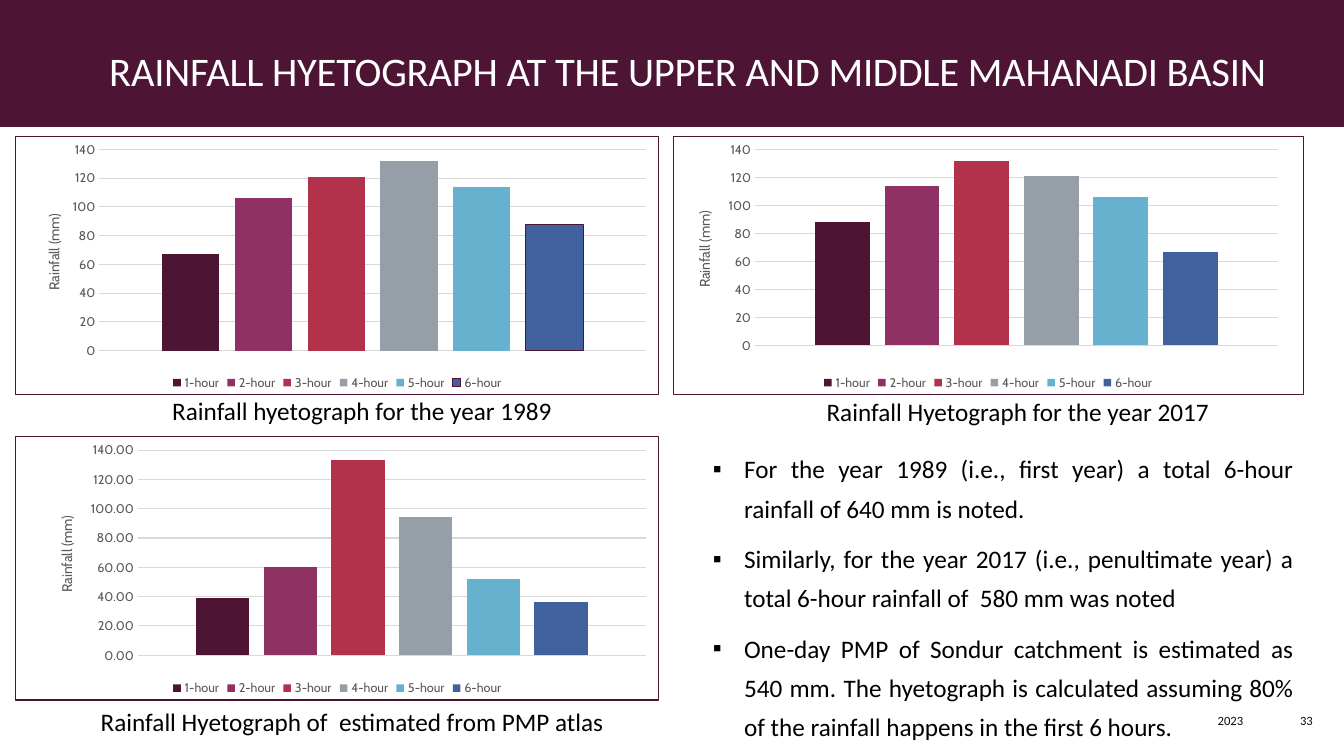
"""Build a slide of three rainfall hyetographs with captions and findings."""
import pptx
import pptx.chart.data
import pptx.dml.color
import pptx.enum.chart
import pptx.enum.shapes
import pptx.enum.text
import pptx.oxml
import pptx.oxml.ns
import pptx.util

Inches, Pt, qn = pptx.util.Inches, pptx.util.Pt, pptx.oxml.ns.qn
ALIGN = pptx.enum.text.PP_ALIGN

COLOURS = {"plum": "4D1434", "white": "FFFFFF", "black": "000000",
           "footer": "0D0D0D", "label": "595959", "grid": "D9D9D9"}
HOURS = [("1-hour", "4D1434"), ("2-hour", "903163"), ("3-hour", "B2324B"),
         ("4-hour", "969FA7"), ("5-hour", "66B1CE"), ("6-hour", "40619D")]
TITLE = "RAINFALL HYETOGRAPH AT THE UPPER AND MIDDLE MAHANADI BASIN"
CHARTS = [
    {"at": (0.15, 1.35, 6.39, 2.57), "values": (67, 106, 121, 132, 114, 88),
     "format": "General", "plot": (0.13, 0.05, 0.85, 0.78),
     "axis_title": (0.04, 0.29), "outlined": "6-hour"},
    {"at": (6.67, 1.35, 6.26, 2.57), "values": (88, 114, 132, 121, 106, 67),
     "format": "General", "plot": (0.13, 0.05, 0.83, 0.76),
     "axis_title": (0.03, 0.28), "outlined": None},
    {"at": (0.15, 4.33, 6.39, 2.62), "values": (39, 60, 133, 94, 52, 36),
     "format": "0.00", "plot": (0.19, 0.05, 0.79, 0.78),
     "axis_title": (0.06, 0.29), "outlined": None},
]
LABELS = [
    ("Rainfall hyetograph for the year 1989", (1.61, 3.87, 6.67, 0.4), 18, "black", ALIGN.LEFT),
    ("Rainfall Hyetograph for the year 2017", (8.1, 3.88, 5.2, 0.4), 18, "black", ALIGN.LEFT),
    ("Rainfall Hyetograph of  estimated from PMP atlas", (0.9, 6.96, 6.84, 0.4), 18, "black", ALIGN.LEFT),
    ("2023", (7.67, 6.95, 4.76, 0.4), 9, "footer", ALIGN.RIGHT),
    ("33", (12.43, 6.95, 0.69, 0.4), 9, "footer", ALIGN.RIGHT),
]
FINDINGS = [
    "For the year 1989 (i.e., first year) a total 6-hour rainfall of 640 mm is noted.",
    "Similarly, for the year 2017 (i.e., penultimate year) a total 6-hour rainfall of  580 mm was noted",
    "One-day PMP of Sondur catchment is estimated as 540 mm. The hyetograph is calculated "
    "assuming 80% of the rainfall happens in the first 6 hours.",
]


def rgb(value):
    return pptx.dml.color.RGBColor.from_string(value)


def set_font(font, size, colour, name="Calibri"):
    font.name, font.size, font.bold = name, Pt(size), False
    font.color.rgb = rgb(COLOURS[colour])


def place(shape, at):
    shape.left, shape.top, shape.width, shape.height = map(Inches, at)


def set_frame(frame, anchor):
    frame.word_wrap = True
    frame.auto_size = pptx.enum.text.MSO_AUTO_SIZE.NONE
    frame.vertical_anchor = anchor


def chart_xml(tag, body):
    return pptx.oxml.parse_xml(
        f'<c:{tag} {pptx.oxml.ns.nsdecls("c", "a")}>{body}</c:{tag}>')


def set_layout(parent, position, index, target=""):
    for old in parent.findall(qn("c:layout")):
        parent.remove(old)
    modes = "".join(f'<c:{axis}Mode val="edge"/>' for axis in "xy")
    sizes = "".join(f'<c:{key} val="{value}"/>' for key, value in zip("xywh", position))
    parent.insert(index, chart_xml(
        "layout", f"<c:manualLayout>{target}{modes}{sizes}</c:manualLayout>"))


def add_hyetograph(slide, item):
    data = pptx.chart.data.CategoryChartData(number_format=item["format"])
    data.categories = ["1"]
    for (hour, _), value in zip(HOURS, item["values"]):
        data.add_series(hour, [value])
    chart = slide.shapes.add_chart(
        pptx.enum.chart.XL_CHART_TYPE.COLUMN_CLUSTERED,
        *map(Inches, item["at"]), data).chart
    set_font(chart.font, 10, "black", "Cabin")
    chart.has_title = False
    chart.has_legend = True
    chart.legend.position = pptx.enum.chart.XL_LEGEND_POSITION.BOTTOM
    chart.legend.include_in_layout = False
    set_font(chart.legend.font, 9, "label", "Cabin")

    plot = chart.plots[0]
    plot.gap_width, plot.overlap, plot.vary_by_categories = 219, -27, False
    for series, (hour, colour) in zip(plot.series, HOURS):
        series.format.fill.solid()
        series.format.fill.fore_color.rgb = rgb(colour)
        if hour == item["outlined"]:
            series.format.line.color.rgb = rgb(COLOURS["plum"])
            series.format.line.width = Pt(0.75)

    chart.category_axis.visible = False
    axis = chart.value_axis
    axis.minimum_scale, axis.maximum_scale, axis.major_unit = 0, 140, 20
    axis.major_tick_mark = pptx.enum.chart.XL_TICK_MARK.NONE
    axis.format.line.fill.background()
    axis.major_gridlines.format.line.color.rgb = rgb(COLOURS["grid"])
    axis.major_gridlines.format.line.width = Pt(0.75)
    axis.tick_labels.number_format = item["format"]
    axis.tick_labels.number_format_is_linked = False
    set_font(axis.tick_labels.font, 9, "label", "Cabin")

    frame = axis.axis_title.text_frame
    frame.text = "Rainfall (mm)"
    set_font(frame.paragraphs[0].runs[0].font, 10, "label", "Cabin")
    frame._txBody.find(qn("a:bodyPr")).set("rot", "-5400000")
    set_layout(axis.axis_title._element, item["axis_title"], 1)

    space = chart._chartSpace
    set_layout(space.find(".//" + qn("c:plotArea")), item["plot"], 0,
               '<c:layoutTarget val="inner"/>')
    space.find(qn("c:chart")).addnext(chart_xml(
        "spPr", '<a:noFill/><a:ln w="9525"><a:solidFill>'
        f'<a:srgbClr val="{COLOURS["plum"]}"/></a:solidFill></a:ln>'))


def add_title(slide):
    title = slide.shapes.title
    band = slide.shapes.add_shape(
        pptx.enum.shapes.MSO_SHAPE.RECTANGLE, 0, 0, Inches(13.33), Inches(1.26))
    band.shadow.inherit = False
    band.fill.solid()
    band.fill.fore_color.rgb = rgb(COLOURS["plum"])
    band.line.fill.background()
    title._element.addprevious(band._element)
    place(title, (0.71, 0.21, 12.22, 0.83))
    set_frame(title.text_frame, pptx.enum.text.MSO_ANCHOR.MIDDLE)
    title.text_frame.text = TITLE
    para = title.text_frame.paragraphs[0]
    para.alignment, para.line_spacing, para.space_after = ALIGN.CENTER, 1.3, Pt(8)
    span = para.runs[0]
    set_font(span.font, 29, "white")
    span.font._element.set("spc", "-20")


def add_findings(slide):
    body = slide.placeholders[1]
    place(body, (6.97, 4.36, 5.96, 3.05))
    frame = body.text_frame
    set_frame(frame, pptx.enum.text.MSO_ANCHOR.TOP)
    frame.text = "\n".join(FINDINGS)
    for para in frame.paragraphs:
        para.alignment, para.line_spacing = ALIGN.JUSTIFY, 1.3
        para.space_before, para.space_after = Pt(0), Pt(8)
        properties = para._p.get_or_add_pPr()
        properties.set("marL", str(Inches(0.31)))
        properties.set("indent", str(-Inches(0.31)))
        properties.append(pptx.oxml.parse_xml(
            f'<a:buChar {pptx.oxml.ns.nsdecls("a")} char="▪"/>'))
        set_font(para.runs[0].font, 18, "black")


def add_label(slide, text, at, size, colour, alignment):
    box = slide.shapes.add_textbox(*map(Inches, at))
    anchor = pptx.enum.text.MSO_ANCHOR
    set_frame(box.text_frame, anchor.MIDDLE if size < 18 else anchor.TOP)
    box.text_frame.text = text
    para = box.text_frame.paragraphs[0]
    para.alignment = alignment
    set_font(para.runs[0].font, size, colour)


def main():
    deck = pptx.Presentation()
    deck.slide_width, deck.slide_height = Inches(13.33), Inches(7.5)
    slide = deck.slides.add_slide(deck.slide_layouts[1])
    add_title(slide)
    add_findings(slide)
    for item in CHARTS:
        add_hyetograph(slide, item)
    for label in LABELS:
        add_label(slide, *label)
    deck.save("out.pptx")


if __name__ == "__main__":
    main()
